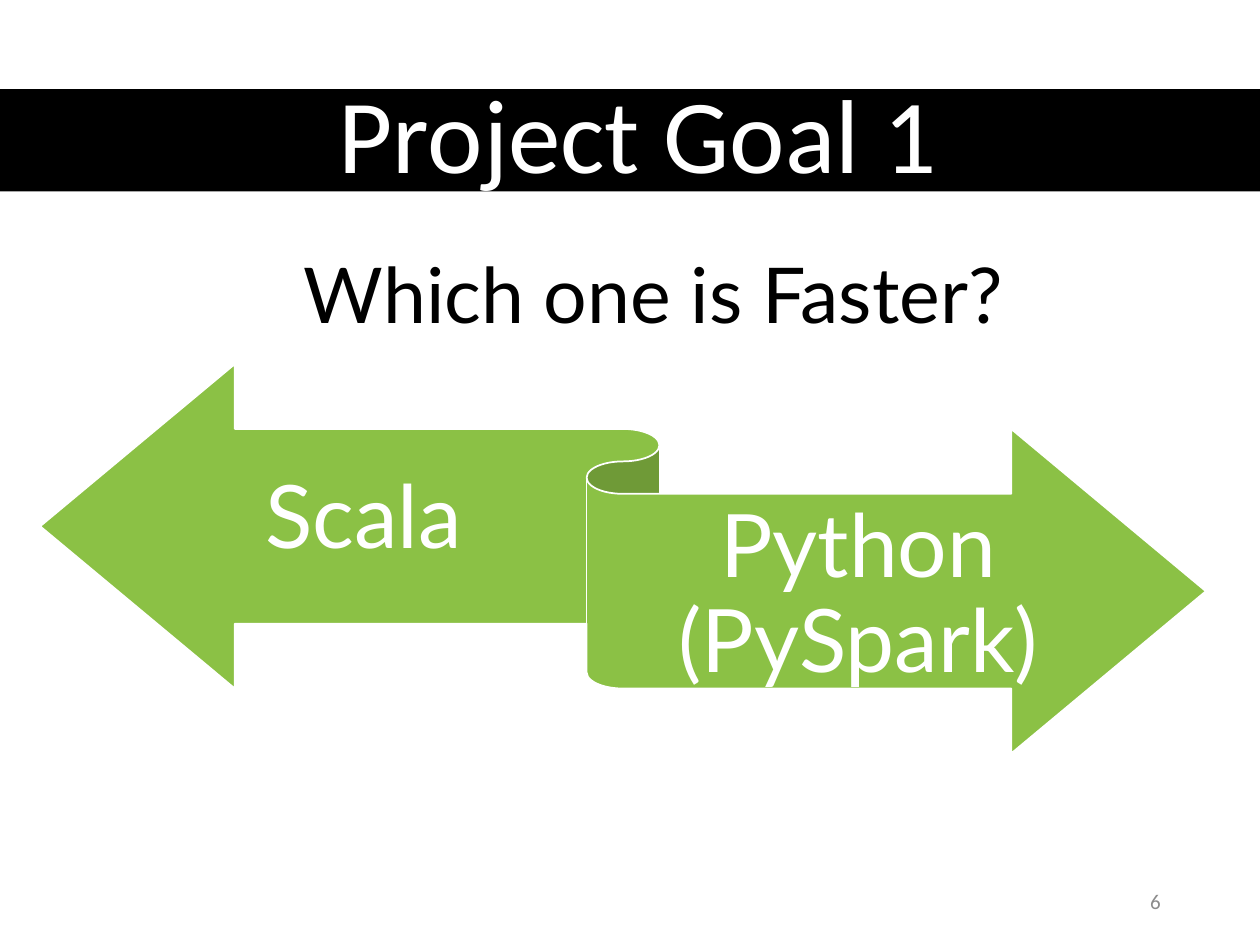
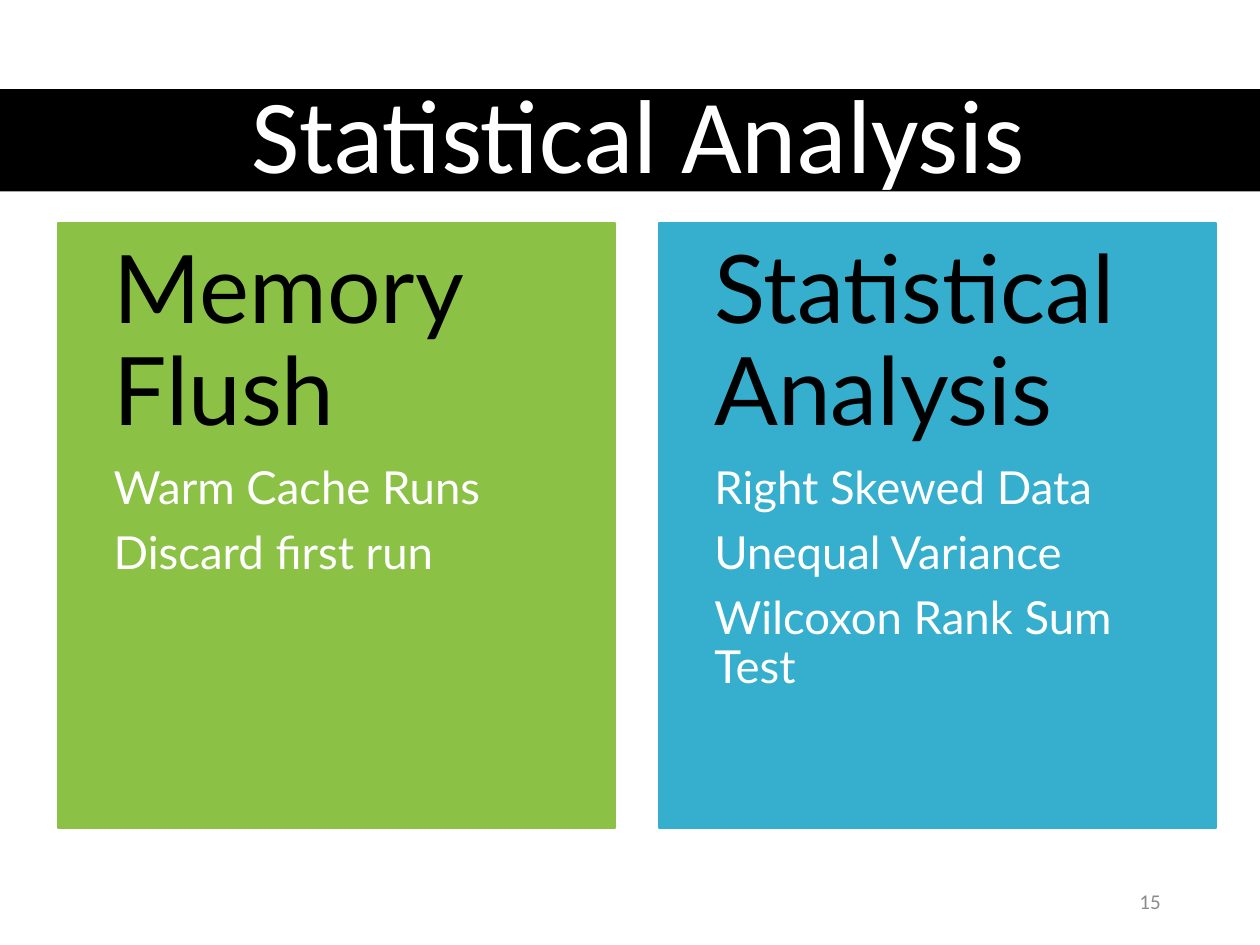
"""Build two slides: a speed question with a ribbon, and two analysis panels."""
from lxml.etree import SubElement
from pptx import Presentation
from pptx.dml.color import RGBColor
from pptx.enum.shapes import MSO_SHAPE as Preset
from pptx.enum.text import MSO_ANCHOR as Anchor, MSO_AUTO_SIZE as AutoSize, PP_ALIGN as Align
from pptx.oxml.ns import qn
from pptx.util import Cm, Pt

BLACK = RGBColor(0x00, 0x00, 0x00)
WHITE = RGBColor(0xFF, 0xFF, 0xFF)
GREEN = RGBColor(0x8B, 0xC1, 0x45)
CYAN = RGBColor(0x36, 0xAF, 0xCE)
GREY = RGBColor(0x8C, 0x8C, 0x8C)

HEADING_FONT = "Calibri"
BODY_FONT = "Lato"
SLIDE_WIDTH, SLIDE_HEIGHT = 25.4, 19.05
TITLE_ONLY, TWO_CONTENT = 5, 3
DEFAULT_INSETS = (0.25, 0.13, 0.25, 0.13)
LABEL_INSETS = (0, 0.48, 0, 0.53)

PANEL_LEFT, PANEL_TOP = 1.17, 4.5
PANEL_WIDTH, PANEL_GAP = 11.23, 0.88
HEADING_HEIGHT, LIST_HEIGHT = 4.88, 7.31
PANELS = [
    ("Memory Flush", GREEN, ["Warm Cache Runs", "Discard first run"]),
    ("Statistical Analysis", CYAN,
     ["Right Skewed Data", "Unequal Variance", "Wilcoxon Rank Sum Test"]),
]


def place(shape, box):
    """Move and size a shape to a box given in centimetres."""
    shape.left, shape.top, shape.width, shape.height = map(Cm, box)


def set_frame(shape, anchor, insets):
    """Set wrapping, anchor and insets of a shape's text frame."""
    frame = shape.text_frame
    frame.auto_size = AutoSize.NONE
    frame.word_wrap = True
    frame.vertical_anchor = anchor
    (frame.margin_left, frame.margin_top,
     frame.margin_right, frame.margin_bottom) = map(Cm, insets)


def add_run(paragraph, text, size, color, font):
    """Append one formatted run."""
    run = paragraph.add_run()
    run.text = text
    run.font.size = Pt(size)
    run.font.name = font
    run.font.color.rgb = color


def write_lines(shape, lines, size, color, font=BODY_FONT, align=Align.LEFT,
                spacing=0.9, after=0.35):
    """Write one paragraph per line, with spacing relative to the text size."""
    frame = shape.text_frame
    for index, line in enumerate(lines):
        paragraph = frame.add_paragraph() if index else frame.paragraphs[0]
        paragraph.alignment = align
        paragraph.line_spacing = spacing
        paragraph.space_before = Pt(0)
        paragraph.space_after = Pt(size * after)
        add_run(paragraph, line, size, color, font)


def add_text_box(slide, box, insets=DEFAULT_INSETS):
    """Add an empty wrapping text box, anchored in the middle."""
    text_box = slide.shapes.add_textbox(*map(Cm, box))
    set_frame(text_box, Anchor.MIDDLE, insets)
    return text_box


def add_label(slide, text, box, size, color):
    """Add a large centred label."""
    label = add_text_box(slide, box, LABEL_INSETS)
    write_lines(label, [text], size, color, align=Align.CENTER)


def add_filled_shape(slide, preset, box, fill, line=None):
    """Add a flat preset shape with an optional thin outline."""
    shape = slide.shapes.add_shape(preset, *map(Cm, box))
    shape.shadow.inherit = False
    shape.fill.solid()
    shape.fill.fore_color.rgb = fill
    if line is None:
        shape.line.fill.background()
    else:
        shape.line.color.rgb = line
        shape.line.width = Pt(1)
    return shape


def add_page_number(slide, number):
    """Add the slide number at the bottom right."""
    page = add_text_box(slide, (17.93, 17.65, 5.72, 1.02))
    write_lines(page, [str(number)], 12, GREY, HEADING_FONT, Align.RIGHT, 1, 0.5)


def add_titled_slide(presentation, layout, title_text, number):
    """Add a slide with its title on a black band and its number."""
    slide = presentation.slides.add_slide(presentation.slide_layouts[layout])
    title = slide.shapes.title
    band = add_filled_shape(slide, Preset.RECTANGLE, (0, 1.8, SLIDE_WIDTH, 2.06), BLACK)
    title.element.addprevious(band.element)
    place(title, (1.17, 1.78, 23.37, 2.06))
    set_frame(title, Anchor.MIDDLE, DEFAULT_INSETS)
    write_lines(title, [title_text], 60, WHITE, HEADING_FONT, Align.CENTER, after=0)
    add_page_number(slide, number)
    return slide


def remove_bullets(shape):
    """Clear bullets and hanging indents from every paragraph."""
    for paragraph in shape.text_frame.paragraphs:
        properties = paragraph._p.get_or_add_pPr()
        properties.set("marL", "0")
        properties.set("indent", "0")
        SubElement(properties, qn("a:buNone"))


def add_panel(slide, body, left, heading, color, items):
    """Add a coloured panel behind a list, with a heading above the list."""
    panel_box = (left, PANEL_TOP, PANEL_WIDTH, HEADING_HEIGHT + LIST_HEIGHT)
    panel = add_filled_shape(slide, Preset.RECTANGLE, panel_box, color, color)
    body.element.addprevious(panel.element)
    place(body, (left, PANEL_TOP + HEADING_HEIGHT, PANEL_WIDTH, LIST_HEIGHT))
    set_frame(body, Anchor.TOP, (1.12, 0, 1.12, 0.91))
    write_lines(body, items, 26, WHITE)
    remove_bullets(body)
    heading_box = add_text_box(slide, (left, PANEL_TOP, PANEL_WIDTH, HEADING_HEIGHT),
                               (1.12, 0.46, 1.12, 0.46))
    write_lines(heading_box, [heading], 54, BLACK)


def build_goal_slide(presentation):
    """Build the slide that compares two languages."""
    slide = add_titled_slide(presentation, TITLE_ONLY, "Project Goal 1", 6)
    add_filled_shape(slide, Preset.LEFT_RIGHT_RIBBON, (0.81, 7.34, 23.5, 7.85), GREEN, WHITE)
    add_label(slide, "Scala", (3.33, 8.13, 8, 4.75), 50, WHITE)
    add_label(slide, "Python (PySpark)", (12.57, 9.68, 9.47, 4.75), 50, WHITE)
    add_label(slide, "Which one is Faster?", (4.83, 4.55, 16.69, 3), 44, BLACK)


def build_analysis_slide(presentation):
    """Build the slide with two panels side by side."""
    slide = add_titled_slide(presentation, TWO_CONTENT, "Statistical Analysis", 15)
    for index, (heading, color, items) in enumerate(PANELS):
        left = PANEL_LEFT + index * (PANEL_WIDTH + PANEL_GAP)
        add_panel(slide, slide.placeholders[index + 1], left, heading, color, items)


def main():
    """Create and save the presentation."""
    presentation = Presentation()
    presentation.slide_width = Cm(SLIDE_WIDTH)
    presentation.slide_height = Cm(SLIDE_HEIGHT)
    build_goal_slide(presentation)
    build_analysis_slide(presentation)
    presentation.save("out.pptx")


if __name__ == "__main__":
    main()
